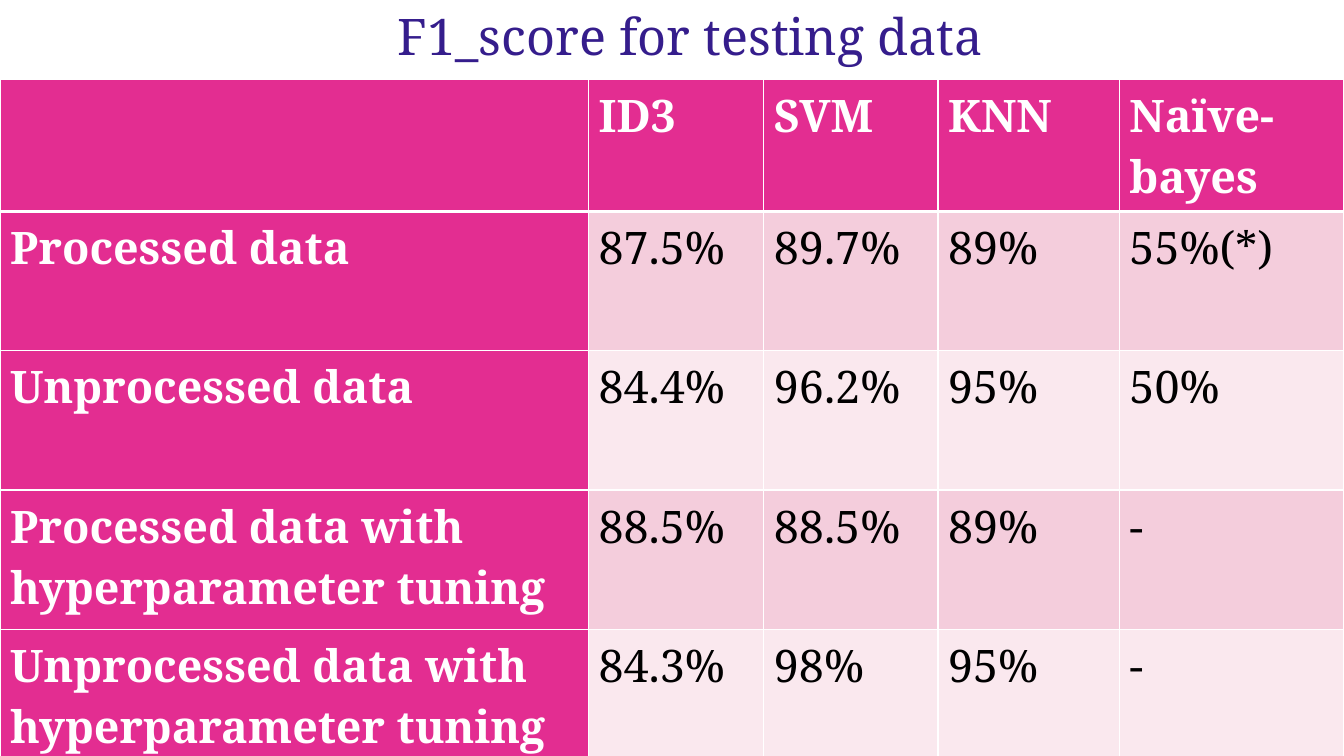
from dataclasses import dataclass

from lxml.etree import SubElement
from pptx import Presentation
from pptx.dml.color import RGBColor
from pptx.enum.text import MSO_ANCHOR, PP_ALIGN
from pptx.oxml.ns import qn
from pptx.util import Cm, Pt

FONT = "Noto Serif"
WHITE, BLACK, PINK, INDIGO = "FFFFFF", "000000", "E32D91", "351D8C"
BANDS = ("F4CDDC", "FAE8EE")
COLUMN_WIDTHS = (14.83, 4.42, 4.39, 4.57, 5.66)
HEADER_HEIGHT, ROW_HEIGHT = 3.07, 3.51


@dataclass
class CellStyle:
    """Look of one table cell."""
    fill: str
    color: str
    bold: bool
    bottom_line: float = 1


SCORES = (
    ("", "ID3", "SVM", "KNN", "Naïve-bayes"),
    ("Processed data", "87.5%", "89.7%", "89%", "55%(*)"),
    ("Unprocessed data", "84.4%", "96.2%", "95%", "50%"),
    ("Processed data with hyperparameter tuning", "88.5%", "88.5%", "89%", "-"),
    ("Unprocessed data with hyperparameter tuning", "84.3%", "98%", "95%", "-"),
)


def rgb(value: str) -> RGBColor:
    """Turn a hex string into a colour."""
    return RGBColor.from_string(value)


def add_span(para, text: str, size: float, color: str, bold: bool = False) -> None:
    """Add one formatted run to a paragraph."""
    span = para.add_run()
    span.text = text
    span.font.name = FONT
    span.font.size = Pt(size)
    span.font.bold = bold
    span.font.color.rgb = rgb(color)


def add_borders(cell, bottom_line: float, top_line: float) -> None:
    """Draw white lines on all four sides of a cell."""
    properties = cell._tc.get_or_add_tcPr()
    for side, width in (("L", 1), ("R", 1), ("T", top_line), ("B", bottom_line)):
        line = SubElement(properties, qn(f"a:ln{side}"), w=str(Pt(width)))
        fill = SubElement(line, qn("a:solidFill"))
        SubElement(fill, qn("a:srgbClr"), val=WHITE)


def style_for(row: int, column: int) -> CellStyle:
    """Choose the style by the place of the cell."""
    if row == 0:
        return CellStyle(PINK, WHITE, True, 3)
    if column == 0:
        return CellStyle(PINK, WHITE, True)
    return CellStyle(BANDS[(row - 1) % 2], BLACK, False)


def add_title(page, text: str) -> None:
    """Place and format the title placeholder."""
    box = page.shapes.title
    box.left, box.top, box.width, box.height = Cm(1.78), Cm(0), Cm(31.24), Cm(1.8)
    box.text_frame.vertical_anchor = MSO_ANCHOR.TOP
    box.text_frame.word_wrap = True
    para = box.text_frame.paragraphs[0]
    para.alignment = PP_ALIGN.CENTER
    add_span(para, text, 36, INDIGO)


def add_score_table(page) -> None:
    """Build the table of scores."""
    height = HEADER_HEIGHT + ROW_HEIGHT * (len(SCORES) - 1)
    table = page.shapes.add_table(
        len(SCORES), len(COLUMN_WIDTHS), Cm(0), Cm(2), Cm(sum(COLUMN_WIDTHS)), Cm(height)
    ).table
    for column, width in zip(table.columns, COLUMN_WIDTHS):
        column.width = Cm(width)
    for row, values in enumerate(SCORES):
        table.rows[row].height = Cm(ROW_HEIGHT if row else HEADER_HEIGHT)
        for column, text in enumerate(values):
            cell, style = table.cell(row, column), style_for(row, column)
            add_borders(cell, style.bottom_line, 3 if row == 1 else 1)
            cell.fill.solid()
            cell.fill.fore_color.rgb = rgb(style.fill)
            if text:
                add_span(cell.text_frame.paragraphs[0], text, 32, style.color, style.bold)


deck = Presentation()
deck.slide_width, deck.slide_height = Cm(33.87), Cm(19.05)
page = deck.slides.add_slide(deck.slide_layouts[5])
add_score_table(page)
add_title(page, "F1_score for testing data")
deck.save("out.pptx")
